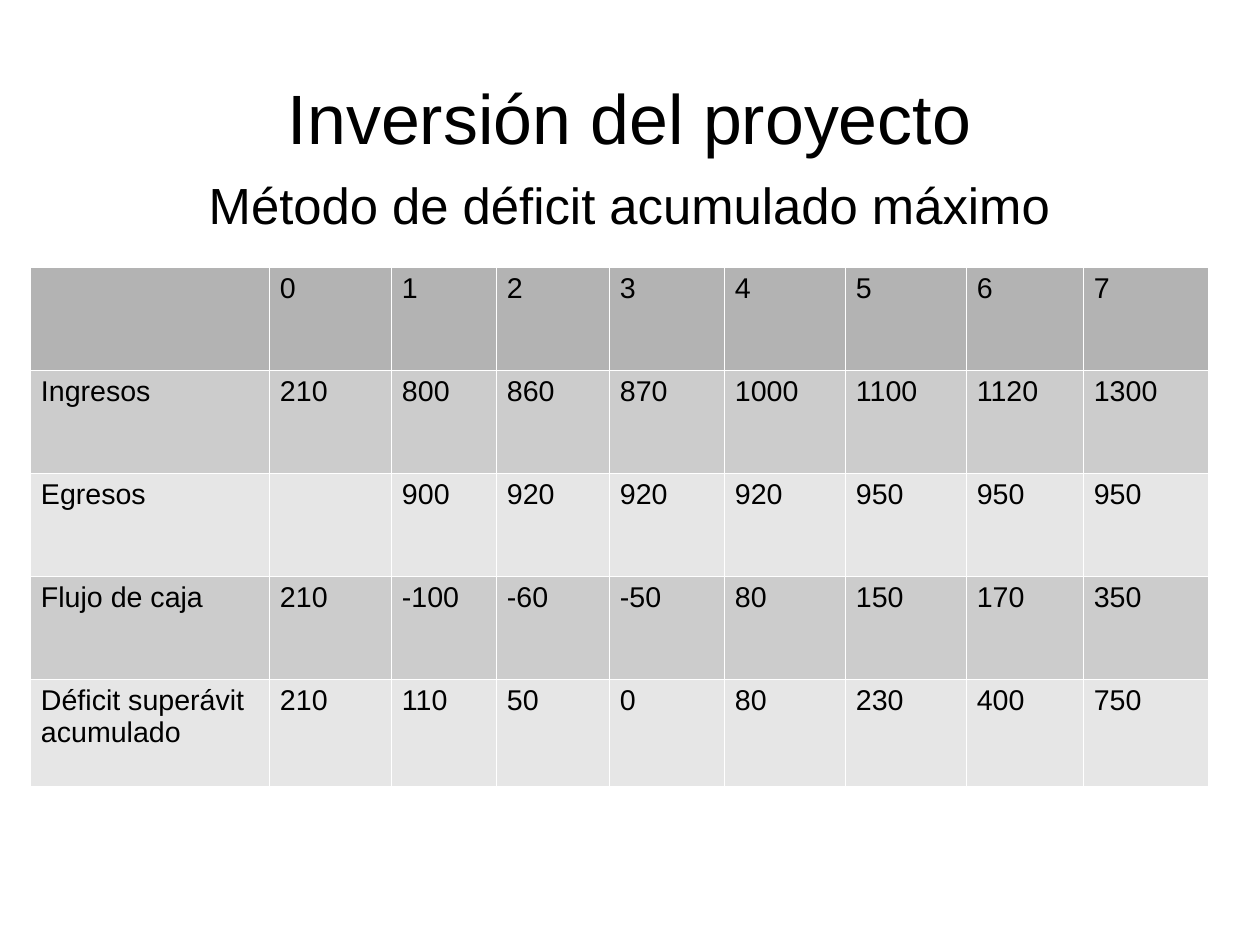
"""Build a slide with the maximum accumulated deficit table of a project."""
from lxml.etree import SubElement
from pptx import Presentation
from pptx.dml.color import RGBColor
from pptx.enum.text import MSO_ANCHOR, PP_ALIGN
from pptx.oxml.ns import qn
from pptx.util import Emu, Pt

THEME = {
    "font": "Arial", "title": 44, "subtitle": 32, "cell": 18,
    "text": "000000", "border": "FFFFFF",
    "header": "B3B3B3", "bands": ["CCCCCC", "E6E6E6"],
}
COLS = [239, 122, 105, 113, 115, 121, 121, 117, 125]
HEIGHTS = [103, 103, 103, 103, 107]
ROWS = [
    ["", 0, 1, 2, 3, 4, 5, 6, 7],
    ["Ingresos", 210, 800, 860, 870, 1000, 1100, 1120, 1300],
    ["Egresos", "", 900, 920, 920, 920, 950, 950, 950],
    ["Flujo de caja", 210, -100, -60, -50, 80, 150, 170, 350],
    ["Déficit superávit acumulado", 210, 110, 50, 0, 80, 230, 400, 750],
]


def px(n):
    return Emu(n * 8000)


def write(tf, text, size):
    tf.text = str(text)
    font = tf.paragraphs[0].font
    font.name, font.size, font.bold = THEME["font"], Pt(size), False
    font.color.rgb = RGBColor.from_string(THEME["text"])


prs = Presentation()
prs.slide_width, prs.slide_height = px(1260), px(945)
s = prs.slides.add_slide(prs.slide_layouts[6])

for text, size, top, height, anchor in [
    ("Inversión del proyecto", THEME["title"], 38, 158, MSO_ANCHOR.MIDDLE),
    ("Método de déficit acumulado máximo", THEME["subtitle"], 174, 720, MSO_ANCHOR.TOP),
]:
    tf = s.shapes.add_textbox(px(63), px(top), px(1134), px(height)).text_frame
    tf.word_wrap = True
    tf.vertical_anchor = anchor
    tf.margin_left = tf.margin_right = tf.margin_top = tf.margin_bottom = 0
    write(tf, text, size)
    tf.paragraphs[0].alignment = PP_ALIGN.CENTER

table = s.shapes.add_table(len(ROWS), len(COLS), px(30), px(267),
                           px(sum(COLS)), px(sum(HEIGHTS))).table
table.first_row = table.horz_banding = False
for col, width in zip(table.columns, COLS):
    col.width = px(width)

for i, values in enumerate(ROWS):
    table.rows[i].height = px(HEIGHTS[i])
    color = THEME["bands"][(i - 1) % 2] if i else THEME["header"]
    for j, value in enumerate(values):
        cell = table.cell(i, j)
        write(cell.text_frame, value, THEME["cell"])
        cell.margin_left = cell.margin_right = px(11)
        cell.margin_top = cell.margin_bottom = px(6)
        tcPr = cell._tc.get_or_add_tcPr()
        for side in ("a:lnL", "a:lnR", "a:lnT", "a:lnB"):
            ln = SubElement(tcPr, qn(side), w="720")
            fill = SubElement(ln, qn("a:solidFill"))
            SubElement(fill, qn("a:srgbClr"), val=THEME["border"])
        cell.fill.solid()
        cell.fill.fore_color.rgb = RGBColor.from_string(color)

prs.save("out.pptx")
